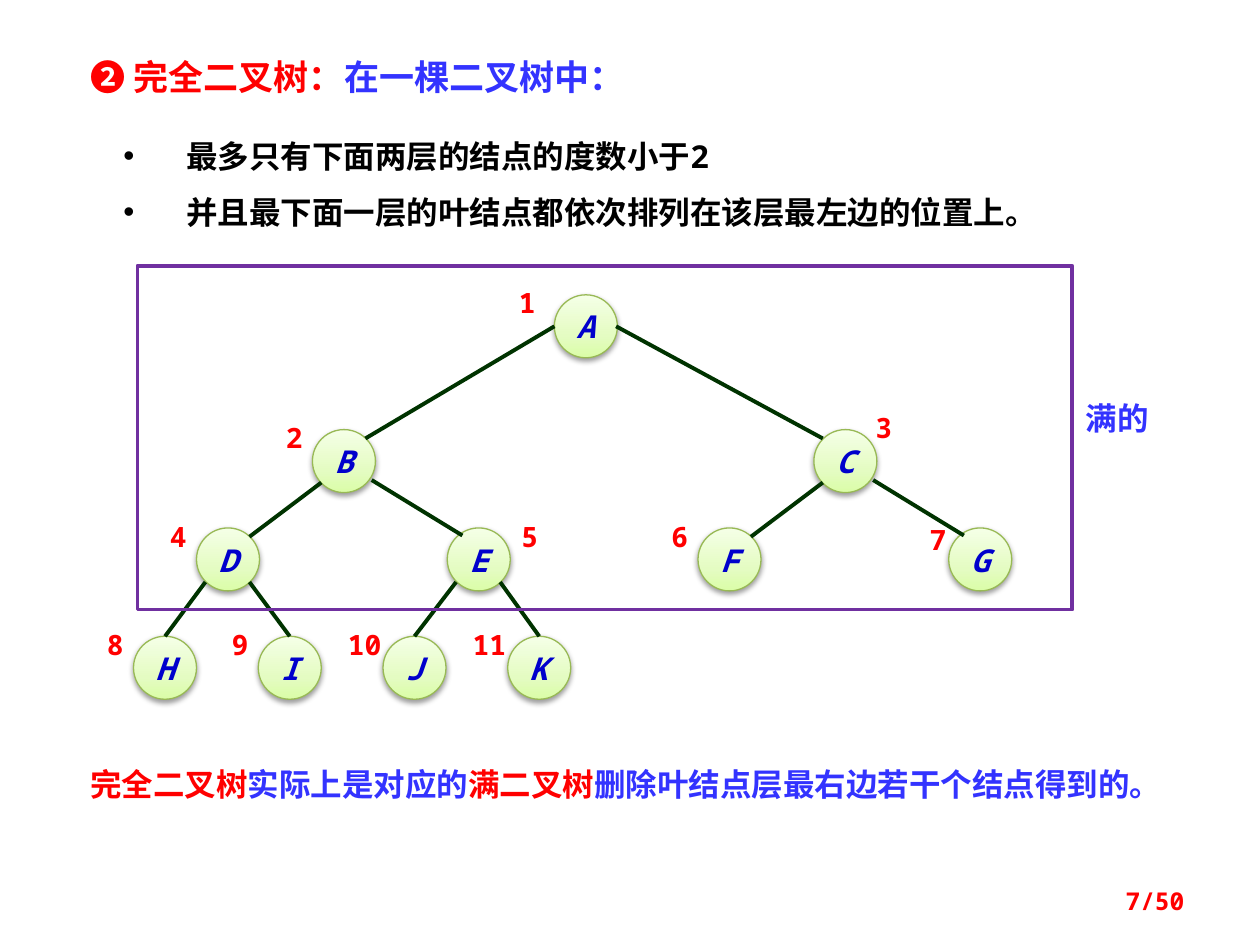
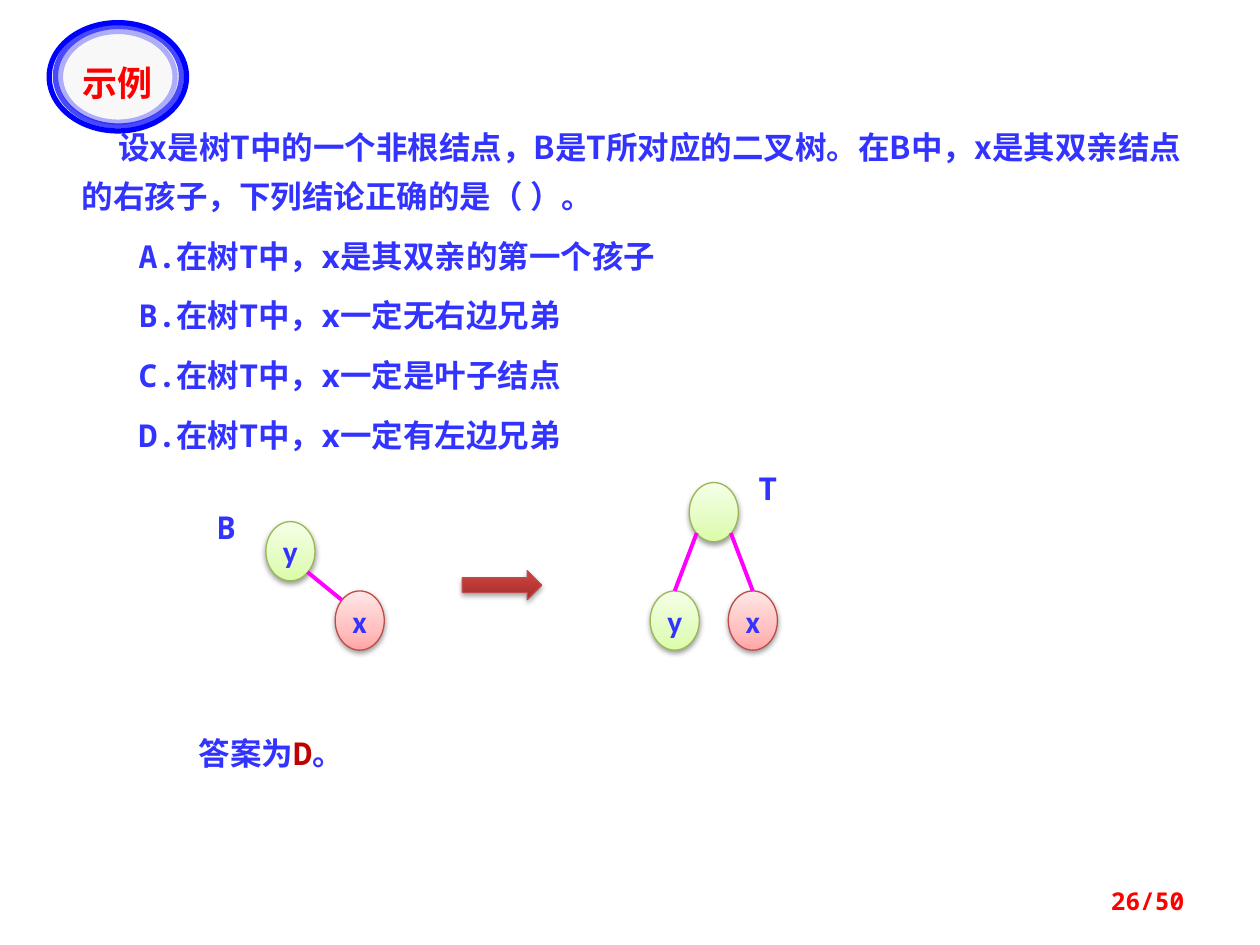
from dataclasses import dataclass
from typing import NamedTuple, Optional

from pptx import Presentation
from pptx import util as u
from pptx.dml.color import RGBColor
from pptx.enum import shapes, text
from pptx.oxml.ns import qn
from lxml import etree

# Shared look
RED, BLUE, BLACK = "FF0000", "3333FF", "000000"
LETTER_BLUE, RING_BLUE, PURPLE = "0000CC", "0000FF", "7030A0"
DARK_GREEN, MAGENTA, ANSWER_RED = "003300", "FF00FF", "C00000"
MONO, CJK_SC, CJK_JP, CALIBRI = "Noto Sans Mono", "Noto Sans CJK SC", "Noto Sans CJK JP", "Calibri"
PAGE_TOTAL = 50
LEFT, CENTER, RIGHT = text.PP_ALIGN.LEFT, text.PP_ALIGN.CENTER, text.PP_ALIGN.RIGHT
TOP, MIDDLE = text.MSO_ANCHOR.TOP, text.MSO_ANCHOR.MIDDLE


class Area(NamedTuple):
    left: float
    top: float
    width: float
    height: float


class Span(NamedTuple):
    text: str
    color: str = BLUE
    font: str = MONO


@dataclass(frozen=True)
class Skin:
    stops: tuple[tuple[int, str], ...]
    line: str
    shade: int = 38


@dataclass(frozen=True)
class Level:
    """One row of the tree; edges give parent and child offsets, left then right."""
    left: float
    top: float
    step: float
    names: str
    edges: tuple[tuple[float, float, float, float], ...] = ()


GREEN_SKIN = Skin(((0, "DAFDA7"), (35, "E4FCC2"), (100, "F5FFE7")), "98B955")
PINK_SKIN = Skin(((0, "FFA6A5"), (35, "FFC0BF"), (100, "FFE7E7")), "BF4C48")
ARROW_SKIN = Skin(((0, "9C2F2D"), (80, "CB3E3A"), (100, "CE3B37")), "BF4C48", 35)


def rgb(color: str) -> RGBColor:
    return RGBColor.from_string(color)


def inches(values) -> list:
    return [u.Inches(value) for value in values]


def add_element(parent, tag: str, **attributes):
    return etree.SubElement(parent, qn(tag), {key: str(value) for key, value in attributes.items()})


# Text
def write(para, content: str, *, size: float = 18, color: str = BLUE, font: str = MONO,
          bold: bool = True, italic: bool = False) -> None:
    span = para.add_run()
    span.text = content
    span.font.size = u.Pt(size)
    span.font.bold = bold
    span.font.italic = italic
    span.font.color.rgb = rgb(color)
    span.font.name = font
    east_asian = CJK_SC if font == MONO else font
    add_element(span.font._element, "a:ea", typeface=east_asian)


def set_frame(box, anchor=TOP, insets=(0.1, 0.05, 0.1, 0.05)):
    frame = box.text_frame
    frame.word_wrap = True
    frame.auto_size = text.MSO_AUTO_SIZE.NONE
    frame.vertical_anchor = anchor
    frame.margin_left, frame.margin_top, frame.margin_right, frame.margin_bottom = inches(insets)
    return frame


def set_line(box, spans: list[Span], align=LEFT, anchor=TOP, insets=(0.1, 0.05, 0.1, 0.05), **style) -> None:
    para = set_frame(box, anchor, insets).paragraphs[0]
    para.alignment = align
    para.space_before = u.Pt(0)
    for content, color, font in spans:
        write(para, content, color=color, font=font, **style)


def add_text(page, area: Area, spans: list[Span], **style):
    box = page.shapes.add_textbox(*inches(area))
    set_line(box, spans, **style)
    return box


def place(box, area: Area):
    box.left, box.top, box.width, box.height = inches(area)
    return box


def set_indent(para, left: float, first: float, bullet: Optional[str] = None) -> None:
    properties = para._p.get_or_add_pPr()
    properties.set("marL", str(u.Inches(left)))
    properties.set("indent", str(u.Inches(first)))
    if bullet:
        add_element(properties, "a:buChar", char=bullet)
    else:
        add_element(properties, "a:buNone")


def set_list(frame, lines: list[tuple[str, str, float, float]], *, spacing: float,
             before: float, color: str, bullet: Optional[str] = None) -> None:
    for index, (content, font, left, first) in enumerate(lines):
        para = frame.add_paragraph() if index else frame.paragraphs[0]
        set_indent(para, left, first, bullet)
        para.alignment = LEFT
        para.line_spacing = u.Pt(spacing)
        para.space_before = u.Pt(before if index else 0)
        write(para, content, color=color, font=font)


# Shapes
def add_outline(page, kind, area: Area, line: str, width: float, fill: Optional[str] = None,
                opacity: int = 100):
    shape = page.shapes.add_shape(kind, *inches(area))
    shape.shadow.inherit = False
    if fill:
        shape.fill.solid()
        shape.fill.fore_color.rgb = rgb(fill)
    else:
        shape.fill.background()
    shape.line.color.rgb = rgb(line)
    shape.line.width = u.Pt(width)
    if opacity < 100:
        color = shape._element.spPr.find(f"{qn('a:ln')}//{qn('a:srgbClr')}")
        add_element(color, "a:alpha", val=opacity * 1000)
    return shape


def add_glossy(page, kind, area: Area, skin: Skin):
    shape = add_outline(page, kind, area, skin.line, 0.75)
    shape.fill.gradient()
    shape.fill.gradient_angle = 90
    properties = shape._element.spPr
    stops = properties.find(f".//{qn('a:gsLst')}")
    for stop in list(stops):
        stops.remove(stop)
    for position, color in skin.stops:
        add_element(add_element(stops, "a:gs", pos=position * 1000), "a:srgbClr", val=color)
    shadow = add_element(properties.find(qn("a:effectLst")), "a:outerShdw", blurRad=u.Pt(3.1),
                         dist=u.Pt(1.6), dir=90 * 60000, rotWithShape=0)
    add_element(add_element(shadow, "a:srgbClr", val=BLACK), "a:alpha", val=skin.shade * 1000)
    return shape


def add_node(page, area: Area, name: str, skin: Skin = GREEN_SKIN, *, color: str = BLUE,
             font: str = CALIBRI, italic: bool = False):
    node = add_glossy(page, shapes.MSO_SHAPE.OVAL, area, skin)
    if name:
        set_line(node, [Span(name, color, font)], CENTER, MIDDLE, (0, 0, 0, 0), italic=italic)
    return node


def add_edge(page, start: tuple[float, float], end: tuple[float, float], color: str, top_of=None) -> None:
    """Draw a tree edge, joined to the top of a node when one is given."""
    edge = page.shapes.add_connector(shapes.MSO_CONNECTOR.STRAIGHT, *inches((*start, *end)))
    edge.line.color.rgb = rgb(color)
    edge.line.width = u.Pt(2.25)
    add_element(edge._element.spPr, "a:effectLst")
    if top_of is not None:
        edge.end_connect(top_of, 0)


def add_page(deck, number: int):
    page = deck.slides.add_slide(deck.slide_layouts[1])
    add_text(page, Area(7.17, 6.95, 2.33, 0.4), [Span(f"{number}/{PAGE_TOTAL}", RED)],
             align=RIGHT, anchor=MIDDLE, size=14)
    return page


# Complete binary tree
NODE = 0.5
LEVELS = (
    Level(4.4, 2.34, 0, "A"),
    Level(2.48, 3.41, 3.98, "BC", ((0, 0.25, 0.42, 0.07), (0.49, 0.25, 0.07, 0.07))),
    Level(1.56, 4.19, 1.99, "DEFG", ((0.07, 0.42, 0.42, 0.07), (0.47, 0.4, 0.12, 0.06))),
    Level(1.06, 5.05, 0.99, "HIJK", ((0.07, 0.43, 0.25, 0), (0.42, 0.43, 0.25, 0))),
)
NUMBER_OFFSET = (-0.36, -0.07)
MOVED_NUMBERS = {1: (-0.43, -0.07), 3: (0.34, -0.15), 5: (0.44, -0.07), 7: (-0.3, -0.04)}


def add_tree(page) -> None:
    corners: dict[int, tuple[float, float]] = {}
    for depth, level in enumerate(LEVELS):
        for column, name in enumerate(level.names):
            number = 2 ** depth + column
            left, top = corners[number] = (level.left + column * level.step, level.top)
            node = add_node(page, Area(left, top, NODE, NODE), name,
                            color=LETTER_BLUE, font=MONO, italic=True)
            across, down = MOVED_NUMBERS.get(number, NUMBER_OFFSET)
            add_text(page, Area(left + across, top + down, 0.43, 0.27), [Span(str(number), RED)],
                     align=CENTER, insets=(0, 0, 0, 0), size=16)
            if level.edges:
                parent_left, parent_top = corners[number // 2]
                from_x, from_y, to_x, to_y = level.edges[column % 2]
                add_edge(page, (parent_left + from_x, parent_top + from_y), (left + to_x, top + to_y),
                         DARK_GREEN, node if to_y == 0 else None)


def build_definition(deck) -> None:
    page = add_page(deck, 7)
    title, body = page.placeholders[0], page.placeholders[1]
    set_line(place(title, Area(0.62, 0.39, 6.33, 0.44)),
             [Span("❷ ", RED), Span("完全二叉树：", RED, CJK_JP), Span("在一棵二叉树中：")], size=20)
    place(body, Area(0.78, 0.86, 7.89, 1.06))
    body.fill.solid()
    body.fill.fore_color.rgb = rgb("FFFFFF")
    conditions = ("最多只有下面两层的结点的度数小于2", "并且最下面一层的叶结点都依次排列在该层最左边的位置上。")
    set_list(set_frame(body, insets=(0.2, 0.08, 0.1, 0.08)),
             [(condition, MONO, 0.5, -0.5) for condition in conditions],
             spacing=32, before=0, color=BLACK, bullet="•")

    add_tree(page)

    # Full part of the tree and conclusion
    add_outline(page, shapes.MSO_SHAPE.RECTANGLE, Area(1.09, 2.11, 7.42, 2.73), PURPLE, 2)
    add_text(page, Area(8.52, 3.12, 0.86, 0.4), [Span("满的")])
    add_text(page, Area(0.62, 6.02, 8.67, 0.4),
             [Span("完全二叉树", RED, CJK_SC), Span("实际上是对应的", BLUE, CJK_SC),
              Span("满二叉树", RED, CJK_SC),
              Span("删除叶结点层最右边若干个结点得到的。", BLUE, CJK_SC)])


def build_example(deck) -> None:
    page = add_page(deck, 26)
    title, body = page.placeholders[0], page.placeholders[1]

    # Question and options
    question = "设x是树T中的一个非根结点，B是T所对应的二叉树。在B中，x是其双亲结点的右孩子，下列结论正确的是（ ）。"
    options = ("是其双亲的第一个孩子", "一定无右边兄弟", "一定是叶子结点", "一定有左边兄弟")
    lines = [(question, CJK_SC, 0, 0.29)]
    lines += [(f"{letter}.在树T中，x{option}", MONO, 0.45, 0) for letter, option in zip("ABCD", options)]
    set_list(set_frame(place(body, Area(0.55, 0.88, 8.98, 2.79))), lines,
             spacing=28, before=6, color=BLUE)

    # Badge rings, with the title in front
    rings = ((Area(0.39, 0.18, 1.09, 0.86), "F8F8F8", 100),
             (Area(0.44, 0.21, 1, 0.79), None, 70),
             (Area(0.48, 0.25, 0.91, 0.72), None, 30))
    for area, fill, opacity in rings:
        add_outline(page, shapes.MSO_SHAPE.OVAL, area, RING_BLUE, 3, fill, opacity)
    set_line(place(title, Area(0.45, 0.44, 0.96, 0.39)), [Span("示例", RED, CJK_JP)], CENTER, size=20)
    page.shapes._spTree.append(title._element)

    # Binary tree B and tree T
    for name, left, top in (("B", 1.56, 3.98), ("T", 5.86, 3.67)):
        add_text(page, Area(left, top, 0.47, 0.4), [Span(name)], align=CENTER)
    nodes = [add_node(page, Area(left, top, 0.39, 0.47), name, skin)
             for name, left, top, skin in (("y", 2.11, 4.14, GREEN_SKIN), ("x", 2.66, 4.69, PINK_SKIN),
                                           ("", 5.47, 3.83, GREEN_SKIN), ("y", 5.16, 4.69, GREEN_SKIN),
                                           ("x", 5.78, 4.69, PINK_SKIN))]
    add_edge(page, (2.44, 4.54), (2.71, 4.76), MAGENTA)
    add_edge(page, (5.53, 4.23), (5.35, 4.69), MAGENTA, nodes[3])
    add_edge(page, (5.8, 4.23), (5.98, 4.69), MAGENTA, nodes[4])
    add_glossy(page, shapes.MSO_SHAPE.RIGHT_ARROW, Area(3.67, 4.53, 0.63, 0.23), ARROW_SKIN)

    add_text(page, Area(1.48, 5.78, 1.8, 0.4), [Span("答案为"), Span("D", ANSWER_RED), Span("。")])


def main() -> None:
    deck = Presentation()
    deck.slide_width, deck.slide_height = u.Inches(10), u.Inches(7.5)
    build_definition(deck)
    build_example(deck)
    deck.save("out.pptx")


if __name__ == "__main__":
    main()
